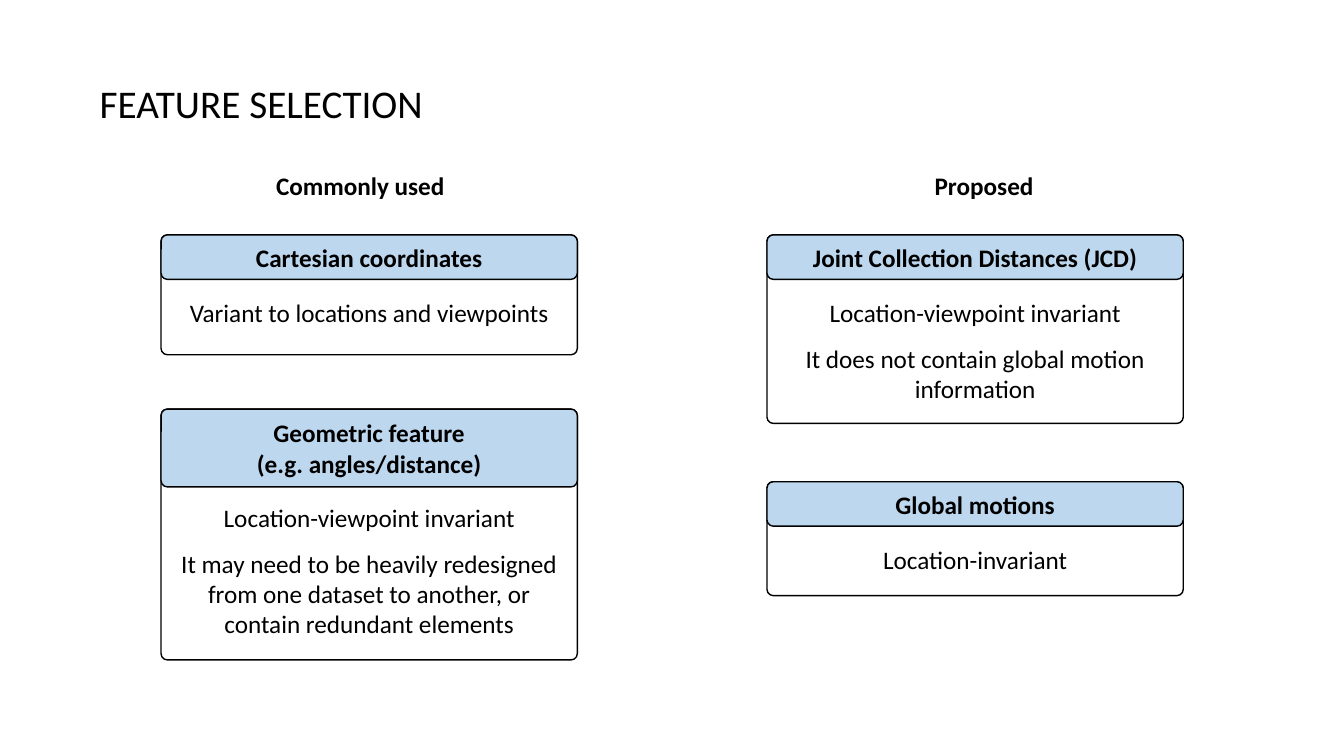
from dataclasses import dataclass

from pptx import Presentation
from pptx.dml.color import RGBColor
from pptx.enum.shapes import MSO_SHAPE
from pptx.enum.text import MSO_ANCHOR, PP_ALIGN
from pptx.shapes.autoshape import Shape
from pptx.slide import Slide
from pptx.text.text import TextFrame
from pptx.util import Cm, Pt

ROUNDED = MSO_SHAPE.ROUNDED_RECTANGLE
CENTER, LEFT = PP_ALIGN.CENTER, PP_ALIGN.LEFT
TOP, MIDDLE = MSO_ANCHOR.TOP, MSO_ANCHOR.MIDDLE

FONT = "Calibri"
BLACK = "000000"
HEADER_BLUE = "BDD7EE"
CARD_WIDTH = 10.49
CORNER_RADIUS = 0.16
COMMON_LEFT, PROPOSED_LEFT = 4.06, 19.33
FIRST_ROW = 5.92


@dataclass(frozen=True)
class Heading:
    text: str
    left: float
    top: float
    width: float
    height: float
    size: int = 18
    bold: bool = True
    align: PP_ALIGN = CENTER
    wrap: bool = True


@dataclass(frozen=True)
class Card:
    title: tuple[str, ...]
    points: tuple[str, ...]
    left: float
    top: float
    height: float
    header_height: float = 1.12
    text_gap: float = 0.41


HEADINGS = (
    Heading("FEATURE SELECTION", 2.26, 1.88, 8.74, 1.45, 28, False, LEFT, False),
    Heading("Commonly used", 5.64, 4.17, 6.88, 1.02),
    Heading("Proposed", 21.36, 4.17, 6.88, 1.02),
)

CARDS = (
    Card(("Cartesian coordinates",), ("Variant to locations and viewpoints",),
         COMMON_LEFT, FIRST_ROW, 3.02),
    Card(("Global motions",), ("Location-invariant",),
         PROPOSED_LEFT, 12.14, 2.87),
    Card(("Joint Collection Distances (JCD)",),
         ("Location-viewpoint invariant",
          "It does not contain global motion information"),
         PROPOSED_LEFT, FIRST_ROW, 4.75),
    Card(("Geometric feature", "(e.g. angles/distance)"),
         ("Location-viewpoint invariant",
          "It may need to be heavily redesigned from one dataset to another, "
          "or contain redundant elements"),
         COMMON_LEFT, 10.31, 6.32, 1.96, 0.35),
)


def color(value: str) -> RGBColor:
    return RGBColor.from_string(value)


def write(frame: TextFrame, lines: tuple[str, ...], size: int = 18,
          bold: bool = False, align: PP_ALIGN = CENTER, gap: int = 0) -> None:
    for index, line in enumerate(lines):
        paragraph = frame.add_paragraph() if index else frame.paragraphs[0]
        paragraph.text = line
        paragraph.alignment = align
        paragraph.space_before = Pt(gap if index else 0)
        paragraph.font.name = FONT
        paragraph.font.size = Pt(size)
        paragraph.font.bold = bold
        paragraph.font.color.rgb = color(BLACK)


def draw_heading(slide: Slide, heading: Heading) -> None:
    box = slide.shapes.add_textbox(Cm(heading.left), Cm(heading.top),
                                   Cm(heading.width), Cm(heading.height))
    box.text_frame.word_wrap = heading.wrap
    write(box.text_frame, (heading.text,), heading.size, heading.bold, heading.align)


def add_panel(slide: Slide, card: Card, height: float) -> Shape:
    panel = slide.shapes.add_shape(ROUNDED, Cm(card.left), Cm(card.top),
                                   Cm(CARD_WIDTH), Cm(height))
    panel.adjustments[0] = CORNER_RADIUS / height
    panel.shadow.inherit = False
    panel.line.color.rgb = color(BLACK)
    panel.line.width = Pt(1)
    panel.text_frame.word_wrap = True
    return panel


def draw_card(slide: Slide, card: Card) -> None:
    body = add_panel(slide, card, card.height)
    body.fill.background()
    body.text_frame.vertical_anchor = TOP
    body.text_frame.margin_top = Cm(card.header_height + card.text_gap)
    write(body.text_frame, card.points, gap=11)

    header = add_panel(slide, card, card.header_height)
    header.fill.solid()
    header.fill.fore_color.rgb = color(HEADER_BLUE)
    header.text_frame.vertical_anchor = MIDDLE
    write(header.text_frame, card.title, bold=True)


def main() -> None:
    presentation = Presentation()
    presentation.slide_width = Cm(33.87)
    presentation.slide_height = Cm(19.05)
    slide = presentation.slides.add_slide(presentation.slide_layouts[6])
    for heading in HEADINGS:
        draw_heading(slide, heading)
    for card in CARDS:
        draw_card(slide, card)
    presentation.save("out.pptx")


if __name__ == "__main__":
    main()
